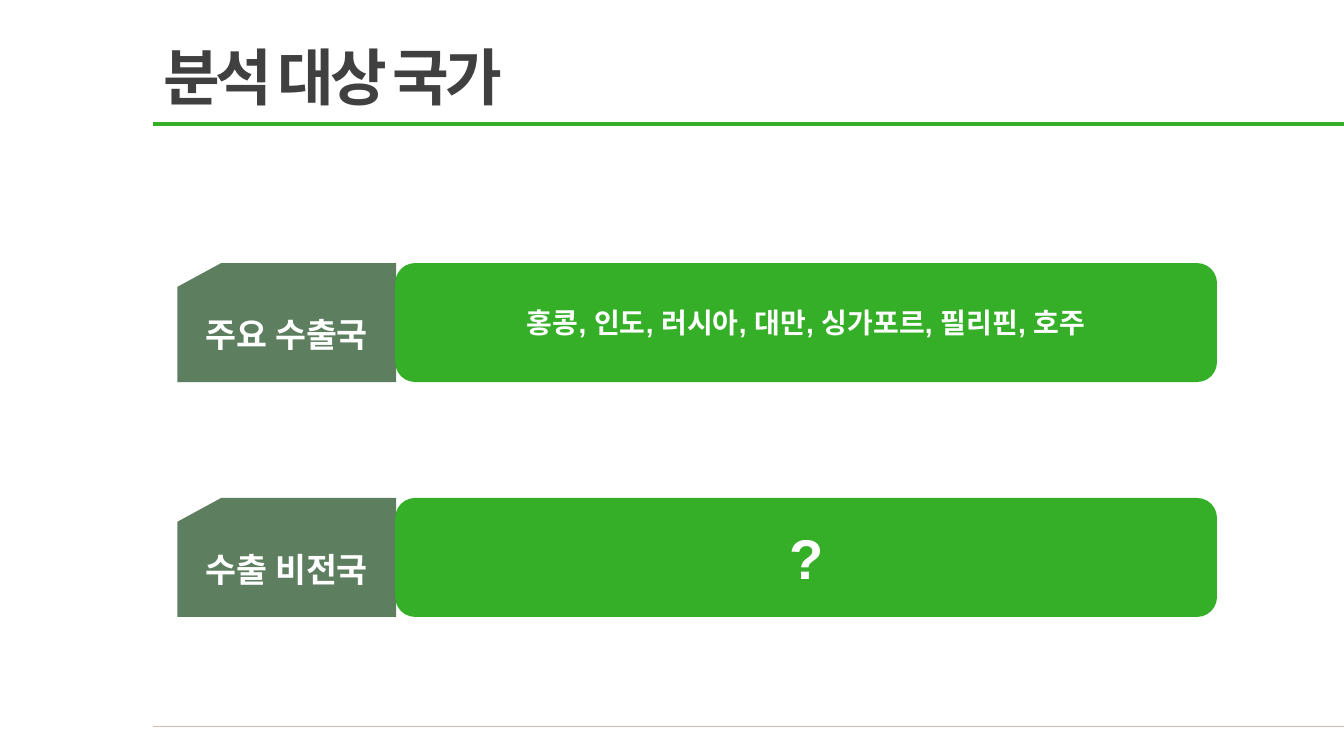
import pptx
import pptx.util
import pptx.dml.color
import pptx.enum.shapes
import pptx.enum.text
import pptx.oxml
import pptx.oxml.ns
from pptx.util import Inches

COLORS = {"green": "34AF27", "label": "5D7F60", "title": "404040", "white": "FFFFFF", "footer": "C8BDB4"}
HANGUL_FONT = "Noto Sans CJK KR"
SHAPES = pptx.enum.shapes.MSO_SHAPE
ALIGN = pptx.enum.text.PP_ALIGN
ANCHOR = pptx.enum.text.MSO_ANCHOR


def rgb(name):
    """Return the named colour."""
    return pptx.dml.color.RGBColor.from_string(COLORS[name])


def write_text(shape, text, size, color="white", font="Arial", align=ALIGN.CENTER,
               anchor=ANCHOR.MIDDLE, wrap=True, spacing=None):
    """Write one bold formatted paragraph into a shape."""
    frame = shape.text_frame
    frame.word_wrap = wrap
    frame.vertical_anchor = anchor
    paragraph = frame.paragraphs[0]
    paragraph.alignment = align
    run = paragraph.add_run()
    run.text = text
    run.font.name = font
    run.font.size = pptx.util.Pt(size)
    run.font.bold = True
    run.font.color.rgb = rgb(color)
    properties = run.font._element
    east_asian = pptx.oxml.parse_xml(f'<a:ea {pptx.oxml.ns.nsdecls("a")} typeface="{HANGUL_FONT}"/>')
    properties.find(pptx.oxml.ns.qn("a:latin")).addnext(east_asian)
    if spacing is not None:
        properties.set("spc", str(spacing * 100))


def add_rule(slide, top, color, width):
    """Draw a horizontal rule reaching the right edge of the slide."""
    rule = slide.shapes.add_connector(pptx.enum.shapes.MSO_CONNECTOR.STRAIGHT,
                                      Inches(1.52), Inches(top), Inches(13.33), Inches(top))
    rule.line.color.rgb = rgb(color)
    rule.line.width = pptx.util.Pt(width)
    rule._element.spPr.append(pptx.oxml.parse_xml(f'<a:effectLst {pptx.oxml.ns.nsdecls("a")}/>'))


def add_title(slide, text):
    """Add the slide title."""
    title = slide.shapes.add_textbox(Inches(1.52), Inches(0.34), Inches(4), Inches(0.84))
    write_text(title, text, 44, color="title", font=HANGUL_FONT, align=ALIGN.LEFT,
               anchor=ANCHOR.TOP, wrap=False, spacing=-3)
    title.text_frame.auto_size = pptx.enum.text.MSO_AUTO_SIZE.SHAPE_TO_FIT_TEXT


def add_block(slide, kind, left, top, width, color, text, size):
    """Add a filled block with centred text."""
    block = slide.shapes.add_shape(kind, Inches(left), Inches(top), Inches(width), Inches(1.18))
    block.shadow.inherit = False
    block.fill.solid()
    block.fill.fore_color.rgb = rgb(color)
    block.line.fill.background()
    write_text(block, text, size)


def main():
    """Build and save the slide."""
    presentation = pptx.Presentation()
    presentation.slide_width = Inches(13.33)
    presentation.slide_height = Inches(7.5)
    slide = presentation.slides.add_slide(presentation.slide_layouts[6])
    add_rule(slide, 7.21, "footer", 0.5)
    add_title(slide, "분석 대상 국가")
    add_rule(slide, 1.23, "green", 2.25)
    rows = [
        (2.61, "주요 수출국", "홍콩, 인도, 러시아, 대만, 싱가포르, 필리핀, 호주", 20),
        (4.94, "수출 비전국", "?", 40),
    ]
    for top, label, countries, size in rows:
        add_block(slide, SHAPES.FLOWCHART_CARD, 1.76, top, 2.17, "label", label, 24)
        add_block(slide, SHAPES.ROUNDED_RECTANGLE, 3.92, top, 8.15, "green", countries, size)
    presentation.save("out.pptx")


if __name__ == "__main__":
    main()
